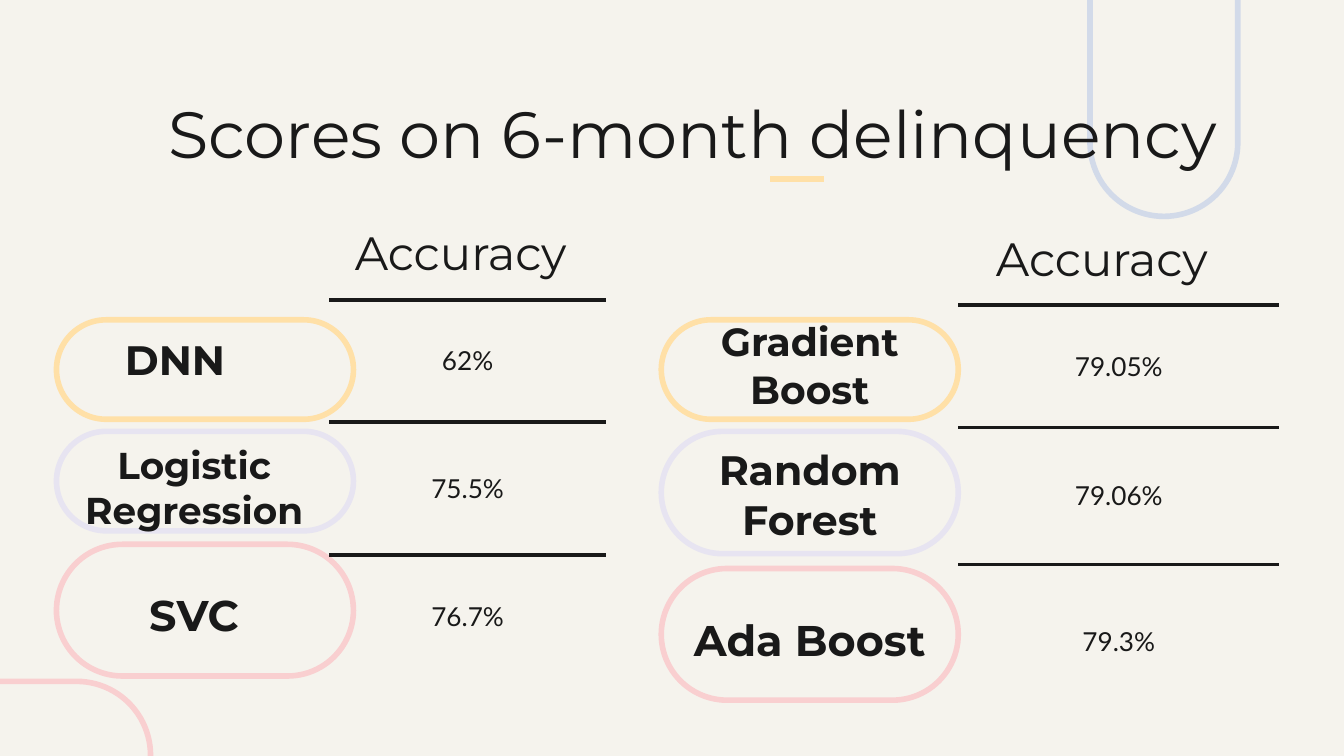
from lxml.etree import SubElement
from pptx import Presentation
from pptx.dml.color import RGBColor
from pptx.enum.shapes import MSO_CONNECTOR, MSO_SHAPE
from pptx.enum.text import MSO_ANCHOR, PP_ALIGN
from pptx.oxml.ns import qn
from pptx.util import Inches, Pt

HUES = {"paper": "F5F3ED", "ink": "191919", "gold": "FFE0A7",
        "lilac": "E7E4F1", "rose": "F9CFD0", "blue": "D2DAE9"}
HEAD, BODY = "Montserrat", "Lato"
MARGINS = ("margin_left", "margin_right", "margin_top", "margin_bottom")


def hue(name):
    """Return the named colour."""
    return RGBColor.from_string(HUES[name])


def apply(item, values):
    """Set each attribute in the dict on the item."""
    for name, value in values.items():
        setattr(item, name, value)


def write(frame, text, size, face=HEAD, bold=False, align=PP_ALIGN.CENTER):
    """Fill a text frame, one paragraph for each line."""
    frame.text = text
    for para in frame.paragraphs:
        para.alignment = align
        for run in para.runs:
            apply(run.font, {"name": face, "size": Pt(size), "bold": bold})
            run.font.color.rgb = hue("ink")


def pill(slide, box, tint, turn=0):
    """Draw a rounded outline in the box."""
    shape = slide.shapes.add_shape(
        MSO_SHAPE.ROUNDED_RECTANGLE, *map(Inches, box))
    apply(shape, {"rotation": turn})
    shape.adjustments[0] = 0.5
    shape.shadow.inherit = False
    shape.fill.background()
    shape.line.color.rgb = hue(tint)
    shape.line.width = Pt(3)


def header(slide, box):
    """Place the title and its short rule."""
    left, top, width, height = box
    frame = slide.shapes.add_textbox(*map(Inches, box)).text_frame
    apply(frame, {"word_wrap": True, "vertical_anchor": MSO_ANCHOR.TOP})
    apply(frame, dict.fromkeys(MARGINS, Inches(0.1)))
    write(frame, "Scores on 6-month delinquency", 35)
    start, level = left + 4.94, top + 0.74
    rule = slide.shapes.add_connector(
        MSO_CONNECTOR.STRAIGHT,
        *map(Inches, (start, level, start + 0.4, level)))
    rule.line.color.rgb = hue("gold")
    rule.line.width = Pt(3)
    SubElement(rule._element.spPr, qn("a:effectLst"))


def border(cell, sides):
    """Rule the given sides of a cell and clear the others."""
    props = cell._tc.get_or_add_tcPr()
    for side in "LRTB":
        line = SubElement(props, qn(f"a:ln{side}"), w=str(Pt(2.25)))
        if side in sides:
            fill = SubElement(line, qn("a:solidFill"))
            SubElement(fill, qn("a:srgbClr"), val=HUES["ink"])
        else:
            SubElement(line, qn("a:noFill"))
    cell.fill.background()


def scores(slide, box, cols, rows, inset, data):
    """Build a score table from (label, size, label inset, value) rows."""
    frame = slide.shapes.add_table(len(rows), 2, *map(Inches, box))
    table = frame.table
    apply(table, {"first_row": False, "horz_banding": False})
    for col, width in zip(table.columns, cols):
        col.width = Inches(width)
    for row, height in zip(table.rows, rows):
        row.height = Inches(height)
    last = len(rows) - 1
    for r in range(len(rows)):
        for c in range(2):
            cell = table.cell(r, c)
            apply(cell, dict.fromkeys(MARGINS, Inches(0.1)))
            cell.vertical_anchor = MSO_ANCHOR.MIDDLE
            sides = ("T" if r else "") + ("B" if r < last else "")
            border(cell, sides if c else "")
    top = table.cell(0, 1)
    top.margin_left = Inches(inset)
    write(top.text_frame, "Accuracy", 25, align=PP_ALIGN.LEFT)
    for r, (label, size, pad, value) in enumerate(data, 1):
        name = table.cell(r, 0)
        align = PP_ALIGN.CENTER
        if pad:
            name.margin_left = Inches(pad)
            align = PP_ALIGN.LEFT
        write(name.text_frame, label, size, bold=True, align=align)
        write(table.cell(r, 1).text_frame, value, 14, BODY)


def panel(slide, box, pills, *parts):
    """Stack the pills from the box corner, then lay the table over them."""
    left, top, width = box
    for tint, drop, height in pills:
        pill(slide, (left, top + drop, width, height), tint)
    scores(slide, *parts)


def main():
    """Build and save the slide."""
    deck = Presentation()
    wide = Inches(10)
    apply(deck, {"slide_width": wide, "slide_height": wide * 9 // 16})
    slide = deck.slides.add_slide(deck.slide_layouts[6])
    back = slide.background.fill
    back.solid()
    back.fore_color.rgb = hue("paper")
    pill(slide, (7.37, -0.23, 2.58, 1.1), "blue", 90)
    pill(slide, (-1.46, 5.07, 2.58, 1.1), "rose")
    header(slide, (0.79, 0.59, 8.73, 0.63))
    panel(slide, (0.42, 2.38, 2.21),
          [("lilac", 0.83, 0.74), ("rose", 1.67, 0.98), ("gold", 0, 0.74)],
          (0.44, 1.55, 4.07, 3.49), (2.01, 2.06), (0.68, 0.91, 0.99, 0.91),
          0.19, [("DNN", 22, 0.49, "62%"),
                 ("Logistic\nRegression", 20, 0, "75.5%"),
                 ("SVC", 23, 0, "76.7%")])
    panel(slide, (4.92, 2.38, 2.21),
          [("lilac", 0.83, 0.91), ("rose", 1.85, 0.98), ("gold", 0, 0.74)],
          (4.92, 1.59, 4.6, 3.75), (2.21, 2.39), (0.68, 0.91, 1.02, 1.14),
          0.28, [("Gradient Boost", 21, 0, "79.05%"),
                 ("Random Forest", 22, 0, "79.06%"),
                 ("Ada Boost", 23, 0, "79.3%")])
    deck.save("out.pptx")


if __name__ == "__main__":
    main()
